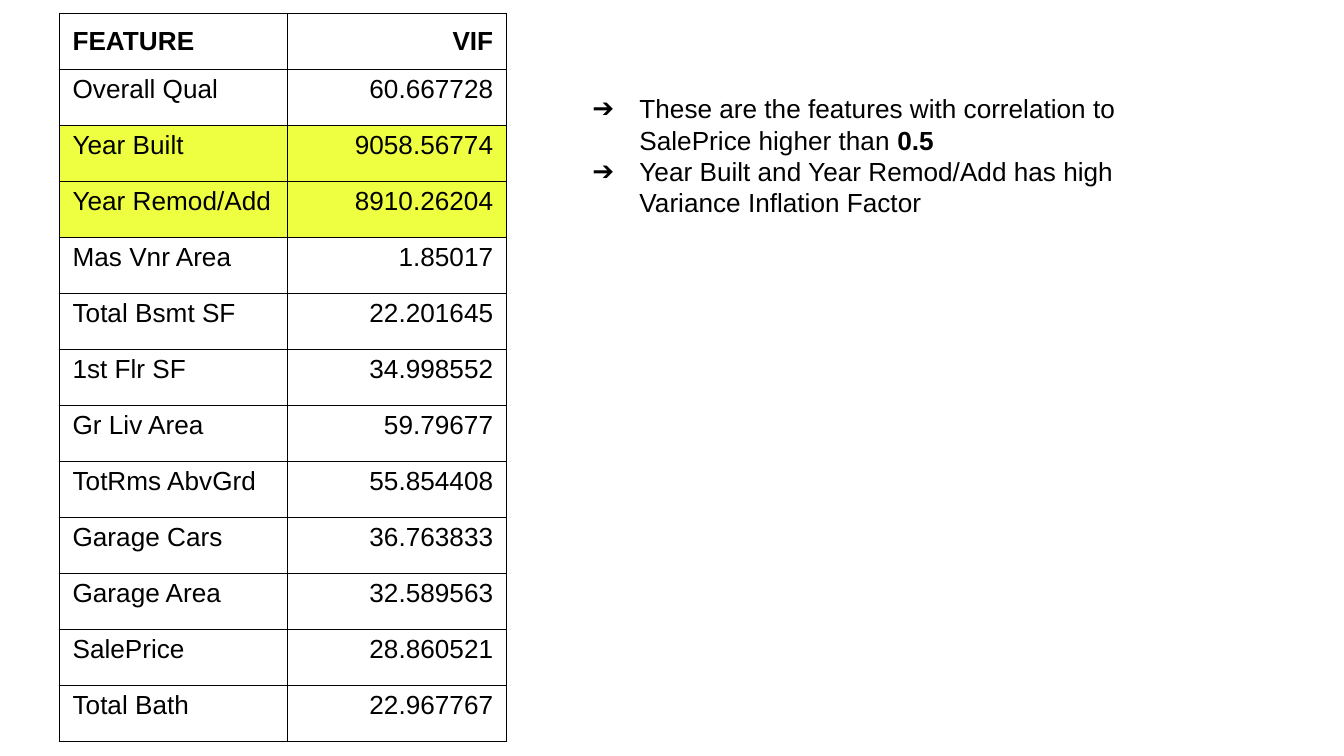
from lxml import etree
from pptx import Presentation
from pptx import util as u
from pptx.dml.color import RGBColor
from pptx.enum import text
from pptx.oxml.ns import qn

BLACK, YELLOW = "000000", "EEFF41"
VIF_ROWS = [
    ("FEATURE", "VIF"),
    ("Overall Qual", "60.667728"),
    ("Year Built", "9058.56774"),
    ("Year Remod/Add", "8910.26204"),
    ("Mas Vnr Area", "1.85017"),
    ("Total Bsmt SF", "22.201645"),
    ("1st Flr SF", "34.998552"),
    ("Gr Liv Area", "59.79677"),
    ("TotRms AbvGrd", "55.854408"),
    ("Garage Cars", "36.763833"),
    ("Garage Area", "32.589563"),
    ("SalePrice", "28.860521"),
    ("Total Bath", "22.967767"),
]
HIGH_VIF = {"Year Built", "Year Remod/Add"}
NOTES = [
    [("These are the features with correlation to SalePrice higher than ", False),
     ("0.5", True)],
    [("Year Built and Year Remod/Add has high Variance Inflation Factor", False)],
]


def rgb(value):
    return RGBColor.from_string(value)


def add_text(p, content, size=14, font="Arial", color=BLACK, bold=False):
    r = p.add_run()
    r.text = content
    r.font.size, r.font.name, r.font.bold = u.Pt(size), font, bold
    r.font.color.rgb = rgb(color)


def add_borders(cell, color=BLACK, width=0.75):
    tc_pr = cell._tc.get_or_add_tcPr()
    for i, side in enumerate(("lnL", "lnR", "lnT", "lnB")):
        ln = etree.Element(qn("a:" + side), w=str(u.Pt(width)))
        fill = etree.SubElement(ln, qn("a:solidFill"))
        etree.SubElement(fill, qn("a:srgbClr"), val=color)
        tc_pr.insert(i, ln)


def add_bullet(p, char="➔", left=0.5, hanging=0.35):
    p_pr = p._p.get_or_add_pPr()
    p_pr.set("marL", str(u.Inches(left)))
    p_pr.set("indent", str(-u.Inches(hanging)))
    color = etree.SubElement(p_pr, qn("a:buClr"))
    etree.SubElement(color, qn("a:srgbClr"), val=BLACK)
    etree.SubElement(p_pr, qn("a:buFont"), typeface="Arial")
    etree.SubElement(p_pr, qn("a:buChar"), char=char)


class SlideBuilder:
    def __init__(self, prs):
        self.slide = prs.slides.add_slide(prs.slide_layouts[6])

    def table(self, rows, box, widths, highlighted):
        sp = self.slide.shapes.add_table(len(rows), len(widths), *map(u.Inches, box))
        table = sp.table
        table.first_row = table.horz_banding = False
        for column, width in zip(table.columns, widths):
            column.width = u.Inches(width)
        for i, values in enumerate(rows):
            table.rows[i].height = u.Inches(box[3] / len(rows))
            for j, value in enumerate(values):
                cell = table.cell(i, j)
                cell.margin_left = cell.margin_right = u.Inches(0.1)
                cell.margin_top = cell.margin_bottom = u.Inches(0.04 if i else 0.1)
                if values[0] in highlighted:
                    cell.fill.solid()
                    cell.fill.fore_color.rgb = rgb(YELLOW)
                else:
                    cell.fill.background()
                add_borders(cell)
                p = cell.text_frame.paragraphs[0]
                p.alignment = text.PP_ALIGN.RIGHT if j else text.PP_ALIGN.LEFT
                add_text(p, value, bold=i == 0)

    def bullets(self, items, box):
        tf = self.slide.shapes.add_textbox(*map(u.Inches, box)).text_frame
        tf.word_wrap = True
        tf.auto_size = text.MSO_AUTO_SIZE.SHAPE_TO_FIT_TEXT
        tf.margin_left = tf.margin_right = u.Inches(0.1)
        tf.margin_top = tf.margin_bottom = u.Inches(0.1)
        for i, runs in enumerate(items):
            p = tf.add_paragraph() if i else tf.paragraphs[0]
            add_bullet(p)
            for content, bold in runs:
                add_text(p, content, bold=bold)


def main():
    prs = Presentation()
    # Widescreen, 16:9
    prs.slide_width, prs.slide_height = u.Inches(10), u.Inches(10 * 9 / 16)
    s = SlideBuilder(prs)
    # Variance inflation factor of each feature
    s.table(VIF_ROWS, (0.44, 0.1, 3.33, 5.42), (1.7, 1.63), HIGH_VIF)
    # Remarks on the table
    s.bullets(NOTES, (4.16, 0.59, 4.64, 1.14))
    prs.save("out.pptx")


if __name__ == "__main__":
    main()
